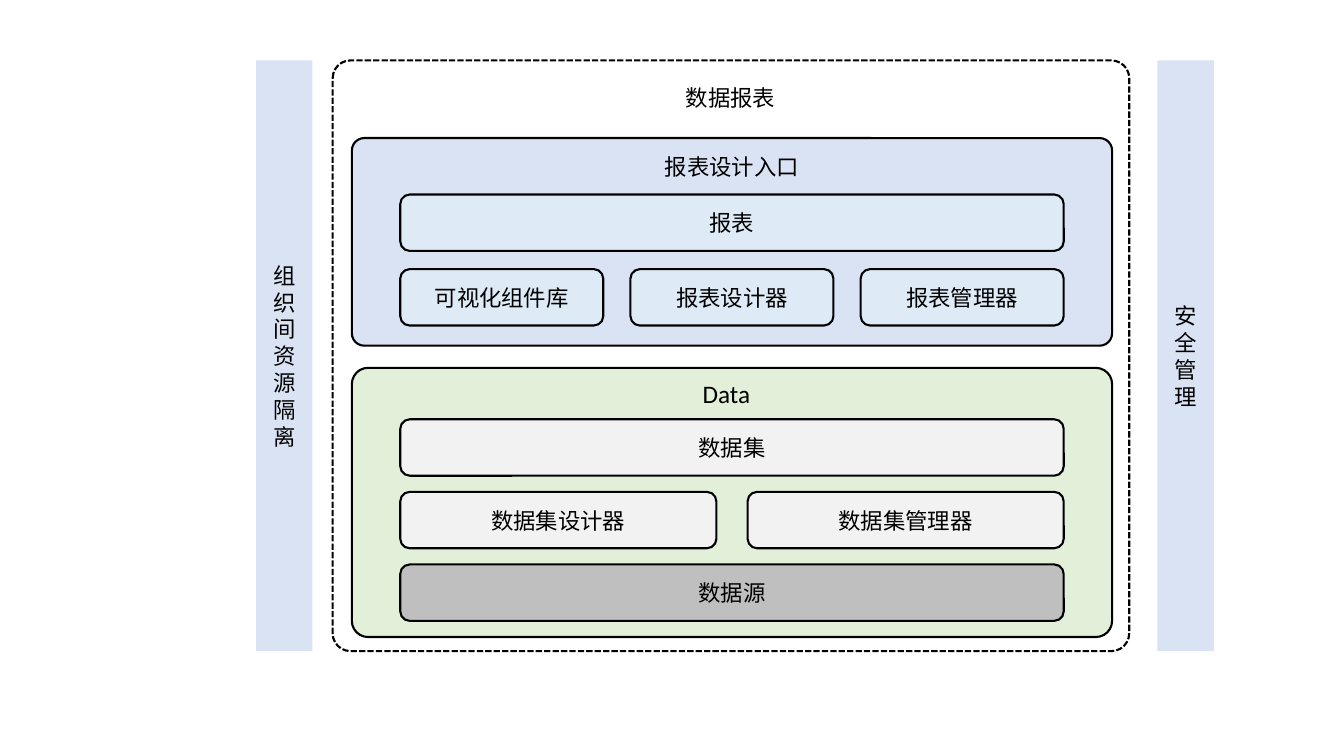
from lxml.etree import SubElement
from pptx import Presentation
from pptx.dml.color import RGBColor
from pptx.enum.dml import MSO_LINE
from pptx.enum.shapes import MSO_SHAPE
from pptx.enum.text import MSO_ANCHOR, PP_ALIGN
from pptx.oxml.ns import qn
from pptx.util import Inches, Pt

BLACK = RGBColor(0x00, 0x00, 0x00)
BLUE = RGBColor(0xDA, 0xE3, 0xF3)
LIGHT_BLUE = RGBColor(0xDE, 0xEB, 0xF7)
GREEN = RGBColor(0xE2, 0xF0, 0xD9)
LIGHT_GREY = RGBColor(0xF2, 0xF2, 0xF2)
GREY = RGBColor(0xBF, 0xBF, 0xBF)
CHINESE = "Noto Sans CJK SC"
LATIN = "Calibri"
ROW_LEFT, ROW_WIDTH, ROW_HEIGHT = 3.97, 6.58, 0.56
FRAME_TOP, FRAME_HEIGHT = 0.6, 5.86


def write(frame, text, size=16, font=CHINESE, align=PP_ALIGN.CENTER, anchor=MSO_ANCHOR.MIDDLE):
    frame.word_wrap = True
    frame.vertical_anchor = anchor
    para = frame.paragraphs[0]
    para.alignment = align
    span = para.add_run()
    span.text = text
    span.font.size = Pt(size)
    span.font.color.rgb = BLACK
    span.font.name = font
    SubElement(span.font._element, qn("a:ea"), typeface=font)


class Diagram:
    def __init__(self, page):
        self.page = page

    def box(self, left, top, width, height, text="", fill=None, outlined=True,
            kind=MSO_SHAPE.ROUNDED_RECTANGLE, corner=None, dash=None):
        box = self.page.shapes.add_shape(
            kind, Inches(left), Inches(top), Inches(width), Inches(height))
        box.shadow.inherit = False
        if corner is not None:
            box.adjustments[0] = corner
        if fill is None:
            box.fill.background()
        else:
            box.fill.solid()
            box.fill.fore_color.rgb = fill
        if outlined:
            box.line.color.rgb = BLACK
            box.line.width = Pt(1.5)
            if dash is not None:
                box.line.dash_style = dash
        else:
            box.line.fill.background()
        if text:
            write(box.text_frame, text)

    def row(self, top, labels, fill, gap=0):
        width = (ROW_WIDTH - gap * (len(labels) - 1)) / len(labels)
        for index, label in enumerate(labels):
            self.box(ROW_LEFT + index * (width + gap), top, width, ROW_HEIGHT, label, fill)

    def panel(self, top, height, fill):
        self.box(3.49, top, 7.54, height, fill=fill, corner=0.06)

    def pillar(self, left, text):
        self.box(left, FRAME_TOP, 0.56, FRAME_HEIGHT, text, BLUE,
                 outlined=False, kind=MSO_SHAPE.RECTANGLE)

    def heading(self, left, top, width, text):
        self.box(left, top, width, ROW_HEIGHT, text, outlined=False)

    def label(self, left, top, width, height, text, **style):
        box = self.page.shapes.add_textbox(
            Inches(left), Inches(top), Inches(width), Inches(height))
        write(box.text_frame, text, **style)


deck = Presentation()
deck.slide_width, deck.slide_height = Inches(13.33), Inches(7.5)
diagram = Diagram(deck.slides.add_slide(deck.slide_layouts[6]))

diagram.panel(1.37, 2.06, BLUE)
diagram.panel(3.65, 2.67, GREEN)
diagram.row(1.93, ["报表"], LIGHT_BLUE)
diagram.row(2.67, ["可视化组件库", "报表设计器", "报表管理器"], LIGHT_BLUE, gap=0.27)
diagram.row(4.16, ["数据集"], LIGHT_GREY)
diagram.row(4.88, ["数据集设计器", "数据集管理器"], LIGHT_GREY, gap=0.31)
diagram.row(5.6, ["数据源"], GREY)
diagram.label(6.87, 3.7, 1.49, 0.4, "Data", size=18, font=LATIN,
              align=PP_ALIGN.LEFT, anchor=MSO_ANCHOR.TOP)
diagram.pillar(2.54, "组织间资源隔离")
diagram.pillar(11.48, "安全管理")
diagram.box(3.3, FRAME_TOP, 7.9, FRAME_HEIGHT, corner=0.03, dash=MSO_LINE.SQUARE_DOT)
diagram.heading(6.24, 0.69, 2.01, "数据报表")
diagram.heading(5.86, 1.37, 2.8, "报表设计入口")

deck.save("out.pptx")
